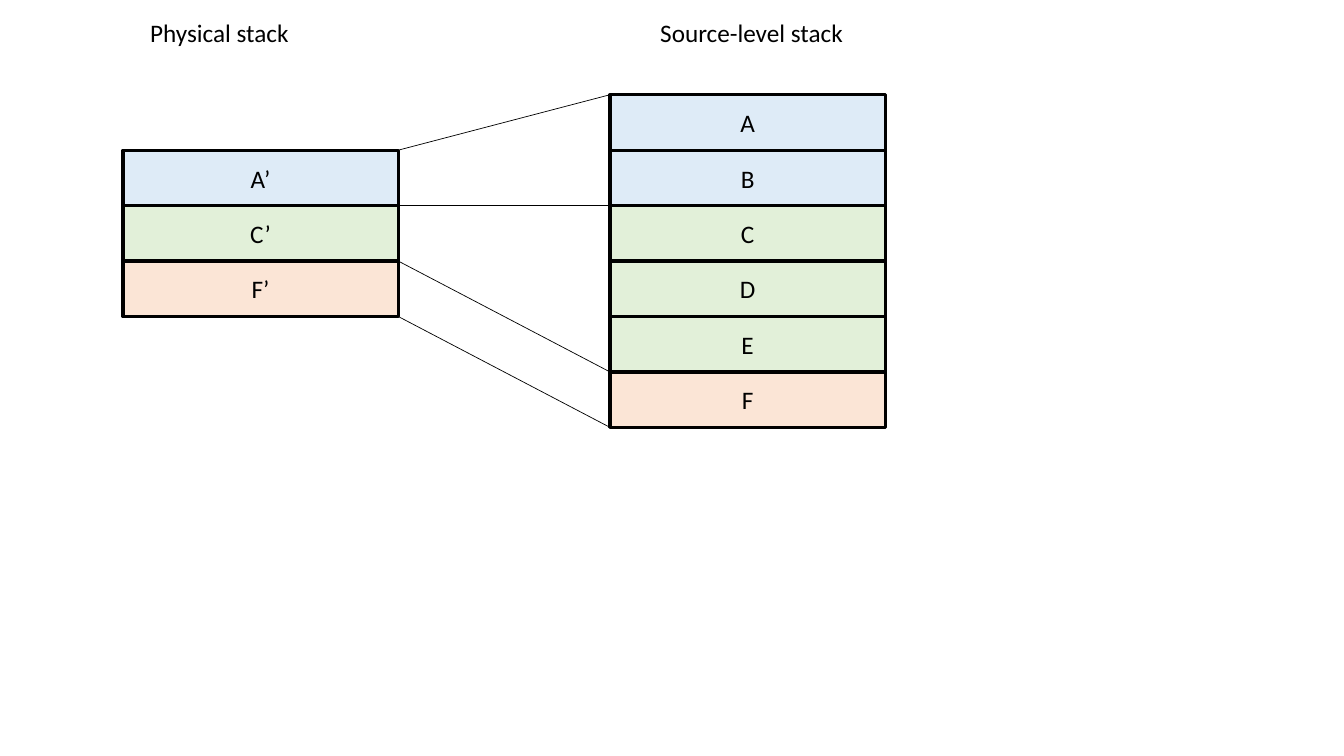
from pptx import Presentation
from pptx.dml.color import RGBColor
from pptx.enum.shapes import MSO_CONNECTOR, MSO_SHAPE
from pptx.enum.text import MSO_ANCHOR, MSO_AUTO_SIZE, PP_ALIGN
from pptx.oxml.ns import qn
from pptx.util import Pt
from lxml import etree

RECTANGLE = MSO_SHAPE.RECTANGLE
STRAIGHT = MSO_CONNECTOR.STRAIGHT
MIDDLE = MSO_ANCHOR.MIDDLE
CENTER = PP_ALIGN.CENTER
FIT_SHAPE = MSO_AUTO_SIZE.SHAPE_TO_FIT_TEXT

BLACK = RGBColor(0x00, 0x00, 0x00)
BLUE = RGBColor(0xDE, 0xEB, 0xF7)
GREEN = RGBColor(0xE2, 0xF0, 0xD9)
ORANGE = RGBColor(0xFB, 0xE5, 0xD6)

EMU_PER_PX = 9144
FRAME_WIDTH, FRAME_HEIGHT = 273, 55
HEADING_TOP, HEADING_WIDTH, HEADING_HEIGHT = 12, 233, 40

PHYSICAL_FRAMES = [("A’", BLUE), ("C’", GREEN), ("F’", ORANGE)]
SOURCE_FRAMES = [("A", BLUE), ("B", BLUE), ("C", GREEN),
                 ("D", GREEN), ("E", GREEN), ("F", ORANGE)]
BOUNDARY_PAIRS = [(0, 0), (1, 2), (2, 5), (3, 6)]


def px(*lengths):
    """Turn pixel lengths into a list of EMU lengths."""
    return [length * EMU_PER_PX for length in lengths]


def write(text_frame, text):
    """Write one line of body text and return its paragraph."""
    paragraph = text_frame.paragraphs[0]
    paragraph.text = text
    paragraph.font.name = "Calibri"
    paragraph.font.size = Pt(18)
    paragraph.font.color.rgb = BLACK
    return paragraph


def add_stack(slide, left, top, frames):
    """Draw the stack frames downwards from the given corner."""
    for row, (label, colour) in enumerate(frames):
        frame = slide.shapes.add_shape(RECTANGLE, *px(
            left, top + row * FRAME_HEIGHT, FRAME_WIDTH, FRAME_HEIGHT))
        frame.shadow.inherit = False
        frame.fill.solid()
        frame.fill.fore_color.rgb = colour
        frame.line.color.rgb = BLACK
        frame.line.width = Pt(2.25)
        frame.text_frame.vertical_anchor = MIDDLE
        write(frame.text_frame, label).alignment = CENTER


def add_mapping(slide, left, right, physical_top, source_top):
    """Link the matching frame boundaries across the gap between the stacks."""
    for physical_row, source_row in BOUNDARY_PAIRS:
        link = slide.shapes.add_connector(STRAIGHT, *px(
            left, physical_top + physical_row * FRAME_HEIGHT,
            right, source_top + source_row * FRAME_HEIGHT))
        link.line.color.rgb = BLACK
        link.line.width = Pt(0.5)
        etree.SubElement(link._element.spPr, qn("a:effectLst"))


def add_heading(slide, left, text):
    """Place the heading of one stack."""
    heading = slide.shapes.add_textbox(
        *px(left, HEADING_TOP, HEADING_WIDTH, HEADING_HEIGHT)).text_frame
    heading.word_wrap = True
    heading.auto_size = FIT_SHAPE
    write(heading, text)


def add_stack_slide(presentation):
    """Build the slide comparing the physical and source-level stacks."""
    slide = presentation.slides.add_slide(presentation.slide_layouts[6])
    physical_left, physical_top = 122, 149
    source_left, source_top = 605, 94
    add_stack(slide, physical_left, physical_top, PHYSICAL_FRAMES)
    add_stack(slide, source_left, source_top, SOURCE_FRAMES)
    add_mapping(slide, physical_left + FRAME_WIDTH, source_left,
                physical_top, source_top)
    add_heading(slide, physical_left + 17, "Physical stack")
    add_heading(slide, source_left + 40, "Source-level stack")


def main():
    """Create and save the presentation."""
    presentation = Presentation()
    presentation.slide_width, presentation.slide_height = px(1333, 750)
    add_stack_slide(presentation)
    presentation.save("out.pptx")


if __name__ == "__main__":
    main()
